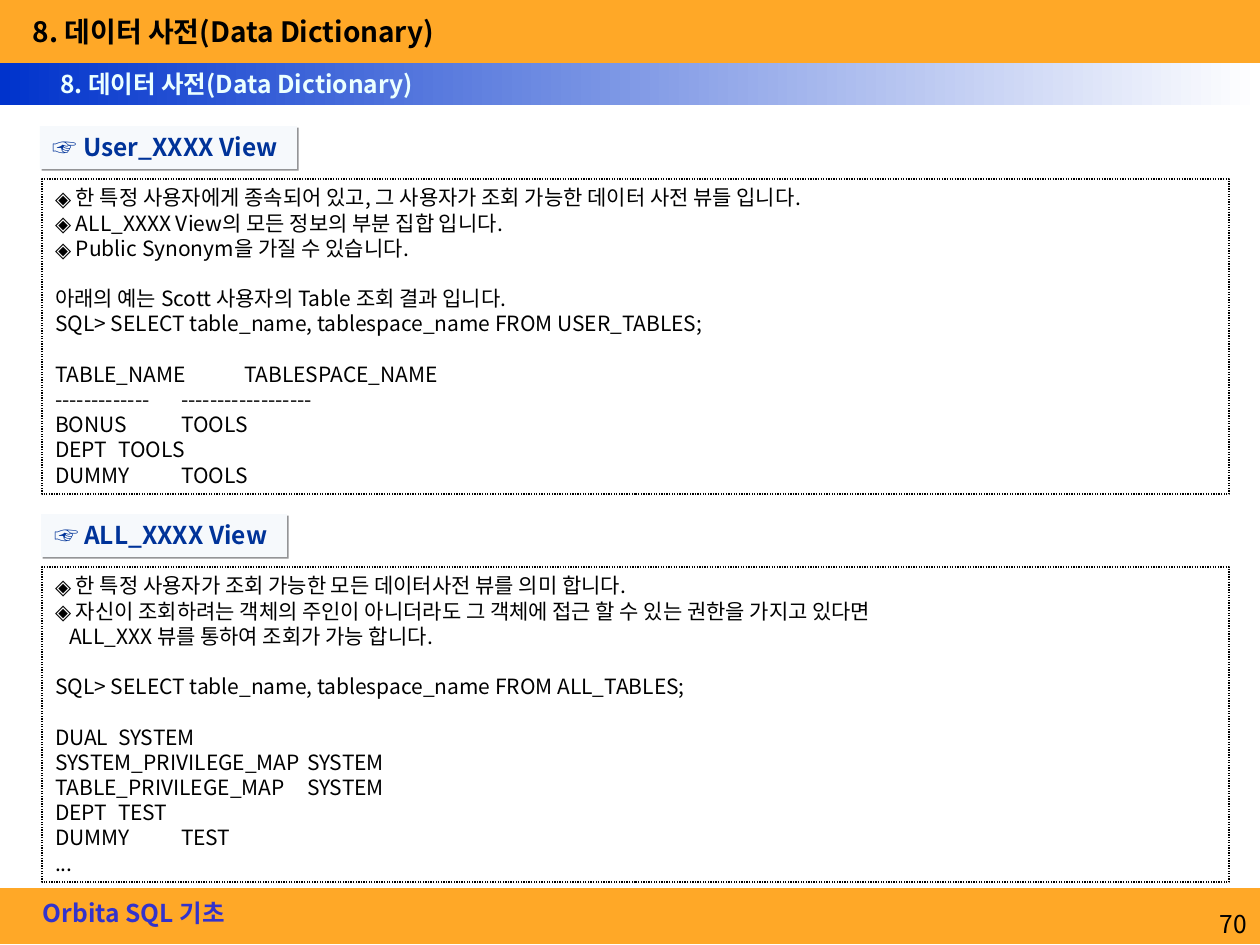
from lxml import etree
from pptx import Presentation
from pptx.dml.color import RGBColor
from pptx.enum.dml import MSO_LINE
from pptx.enum.shapes import MSO_SHAPE
from pptx.enum.text import MSO_ANCHOR, MSO_AUTO_SIZE, PP_ALIGN
from pptx.oxml.ns import qn
from pptx.util import Emu, Pt

RECTANGLE = MSO_SHAPE.RECTANGLE
DOTTED = MSO_LINE.ROUND_DOT
LEFT, RIGHT = PP_ALIGN.LEFT, PP_ALIGN.RIGHT
TOP = MSO_ANCHOR.TOP
NO_AUTOFIT = MSO_AUTO_SIZE.NONE

SCALE = 914400 / 126
FONT = "Noto Sans CJK KR"
LINE_RATIO = 1.2
BODY_SIZE = 12
BULLET_INDENT = 21
ORANGE, BLUE, WHITE, BLACK = "FFA827", "0033CC", "FFFFFF", "000000"

TITLE = "8. 데이터 사전(Data Dictionary)"
COURSE = "Orbita SQL 기초"
PAGE = "70"

# kind, text, blank line above, tab or indent in px
SECTIONS = [
    {
        "heading": "☞ User_XXXX View",
        "heading_box": (40, 126, 257, 43),
        "top": 179,
        "lines": [
            ("bullet", "한 특정 사용자에게 종속되어 있고, 그 사용자가 조회 가능한 데이터 사전 뷰들 입니다.", False, 0),
            ("bullet", "ALL_XXXX View의 모든 정보의 부분 집합 입니다.", False, 0),
            ("bullet", "Public Synonym을 가질 수 있습니다.", False, 0),
            ("plain", "아래의 예는 Scott 사용자의 Table 조회 결과 입니다.", True, 0),
            ("plain", "SQL> SELECT table_name, tablespace_name FROM USER_TABLES;", False, 0),
            ("row", "TABLE_NAME\tTABLESPACE_NAME", True, 160),
            ("row", "-------------\t------------------", False, 109),
            ("row", "BONUS\tTOOLS", False, 124),
            ("row", "DEPT\tTOOLS", False, 109),
            ("row", "DUMMY\tTOOLS", False, 126),
        ],
    },
    {
        "heading": "☞ ALL_XXXX View",
        "heading_box": (41, 514, 246, 43),
        "top": 567,
        "lines": [
            ("bullet", "한 특정 사용자가 조회 가능한 모든 데이터사전 뷰를 의미 합니다.", False, 0),
            ("bullet", "자신이 조회하려는 객체의 주인이 아니더라도 그 객체에 접근 할 수 있는 권한을 가지고 있다면", False, 0),
            ("plain", "ALL_XXX 뷰를 통하여 조회가 가능 합니다.", False, 14),
            ("plain", "SQL> SELECT table_name, tablespace_name FROM ALL_TABLES;", True, 0),
            ("row", "DUAL\tSYSTEM", True, 156),
            ("row", "SYSTEM_PRIVILEGE_MAP\tSYSTEM", False, 273),
            ("row", "TABLE_PRIVILEGE_MAP\tSYSTEM", False, 263),
            ("row", "DEPT\tTEST", False, 155),
            ("row", "DUMMY\tTEST", False, 173),
            ("plain", "...", False, 0),
        ],
    },
]


def px(value):
    return Emu(round(value * SCALE))


def color(value):
    return RGBColor.from_string(value)


def place(shape, box):
    shape.left, shape.top, shape.width, shape.height = map(px, box)


def add_bar(slide, box):
    shape = slide.shapes.add_shape(RECTANGLE, *map(px, box))
    shape.shadow.inherit = False
    shape.line.fill.background()
    return shape


def prepare_frame(shape, wrap=False, left_inset=None):
    frame = shape.text_frame
    frame.word_wrap = wrap
    frame.auto_size = NO_AUTOFIT
    frame.vertical_anchor = TOP
    frame.margin_left = px(13) if left_inset is None else px(left_inset)
    frame.margin_right = px(13)
    frame.margin_top = frame.margin_bottom = px(6)
    return frame


def write(paragraph, text, size, text_color, bold=False, align=LEFT, gap=False,
          indent=0, bullet=False, tab=0):
    line_height = Pt(size * LINE_RATIO)
    paragraph.alignment = align
    paragraph.line_spacing = line_height
    paragraph.space_before = line_height if gap else Pt(0)
    paragraph.space_after = Pt(0)
    properties = paragraph._p.get_or_add_pPr()
    properties.set("marL", str(px(BULLET_INDENT if bullet else indent)))
    properties.set("indent", str(px(-BULLET_INDENT if bullet else 0)))
    if bullet:
        etree.SubElement(properties, qn("a:buFont"), typeface=FONT)
        etree.SubElement(properties, qn("a:buChar"), char="◈")
    else:
        etree.SubElement(properties, qn("a:buNone"))
    if tab:
        tabs = etree.SubElement(properties, qn("a:tabLst"))
        etree.SubElement(tabs, qn("a:tab"), pos=str(px(tab)), algn="l")
    run = paragraph.add_run()
    run.text = text
    run.font.size = Pt(size)
    run.font.bold = bold
    run.font.color.rgb = color(text_color)
    run.font.name = FONT
    etree.SubElement(run.font._element, qn("a:ea"), typeface=FONT)


def add_label(slide, box, text, size, text_color, bold=True, align=LEFT,
              wrap=False, left_inset=None):
    label = slide.shapes.add_textbox(*map(px, box))
    frame = prepare_frame(label, wrap, left_inset)
    write(frame.paragraphs[0], text, size, text_color, bold, align)


def add_shadow(shape):
    effects = etree.SubElement(shape.element.spPr, qn("a:effectLst"))
    shadow = etree.SubElement(effects, qn("a:outerShdw"), blurRad="0",
                              dist=str(Pt(1.4)), dir="2700000", algn="ctr", rotWithShape="0")
    etree.SubElement(shadow, qn("a:srgbClr"), val="949597")


def fill_section(heading, body, section):
    place(heading, section["heading_box"])
    heading.fill.solid()
    heading.fill.fore_color.rgb = color("F6F9FC")
    heading.line.fill.background()
    add_shadow(heading)
    frame = prepare_frame(heading, wrap=True)
    write(frame.paragraphs[0], section["heading"], 14, "003399", True)

    place(body, (42, section["top"], 1187, 315))
    body.fill.background()
    body.line.color.rgb = color(BLACK)
    body.line.width = Pt(0.75)
    body.line.dash_style = DOTTED
    frame = prepare_frame(body, wrap=True)
    for index, (kind, text, gap, offset) in enumerate(section["lines"]):
        paragraph = frame.add_paragraph() if index else frame.paragraphs[0]
        write(paragraph, text, BODY_SIZE, BLACK, gap=gap, bullet=kind == "bullet",
              tab=offset if kind == "row" else 0,
              indent=offset if kind == "plain" else 0)


def main():
    presentation = Presentation()
    presentation.slide_width, presentation.slide_height = px(1260), px(945)
    slide = presentation.slides.add_slide(presentation.slide_layouts[4])
    title, *parts = slide.placeholders

    for box in ((0, 0, 1260, 63), (0, 888, 1260, 56)):
        bar = add_bar(slide, box)
        bar.fill.solid()
        bar.fill.fore_color.rgb = color(ORANGE)
    band = add_bar(slide, (0, 63, 1260, 42))
    band.fill.gradient()
    band.fill.gradient_angle = 0
    for stop, position, value in zip(band.fill.gradient_stops, (0, 1), (BLUE, WHITE)):
        stop.position = position
        stop.color.rgb = color(value)

    slide.shapes.element.append(title.element)
    place(title, (20, 9, 443, 46))
    write(prepare_frame(title).paragraphs[0], TITLE, 16, BLACK, True)
    add_label(slide, (42, 63, 399, 43), TITLE, 14, "EBFFFF", left_inset=18)
    add_label(slide, (30, 892, 215, 43), COURSE, 14, "3333CC")
    add_label(slide, (998, 903, 262, 42), PAGE, 14, BLACK, False, RIGHT, wrap=True)

    for heading, body, section in zip(parts[::2], parts[1::2], SECTIONS):
        fill_section(heading, body, section)
    presentation.save("out.pptx")


if __name__ == "__main__":
    main()
